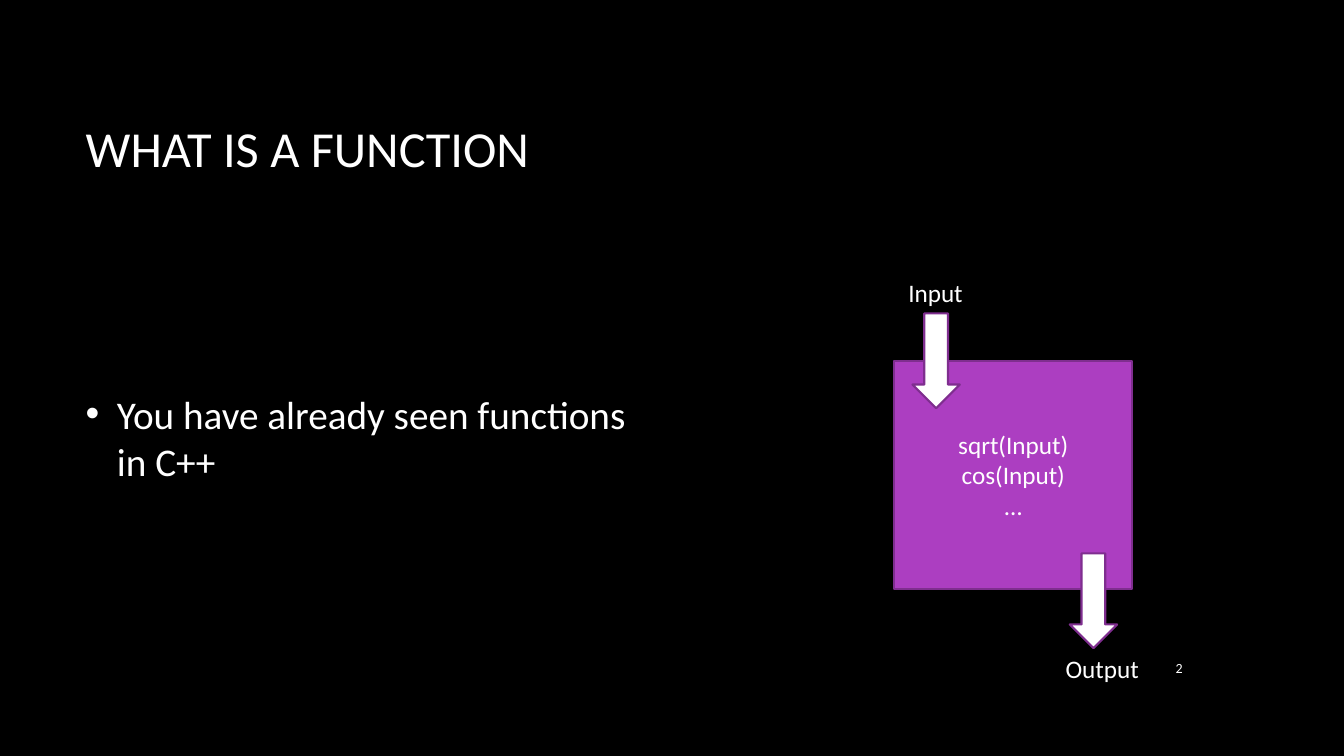
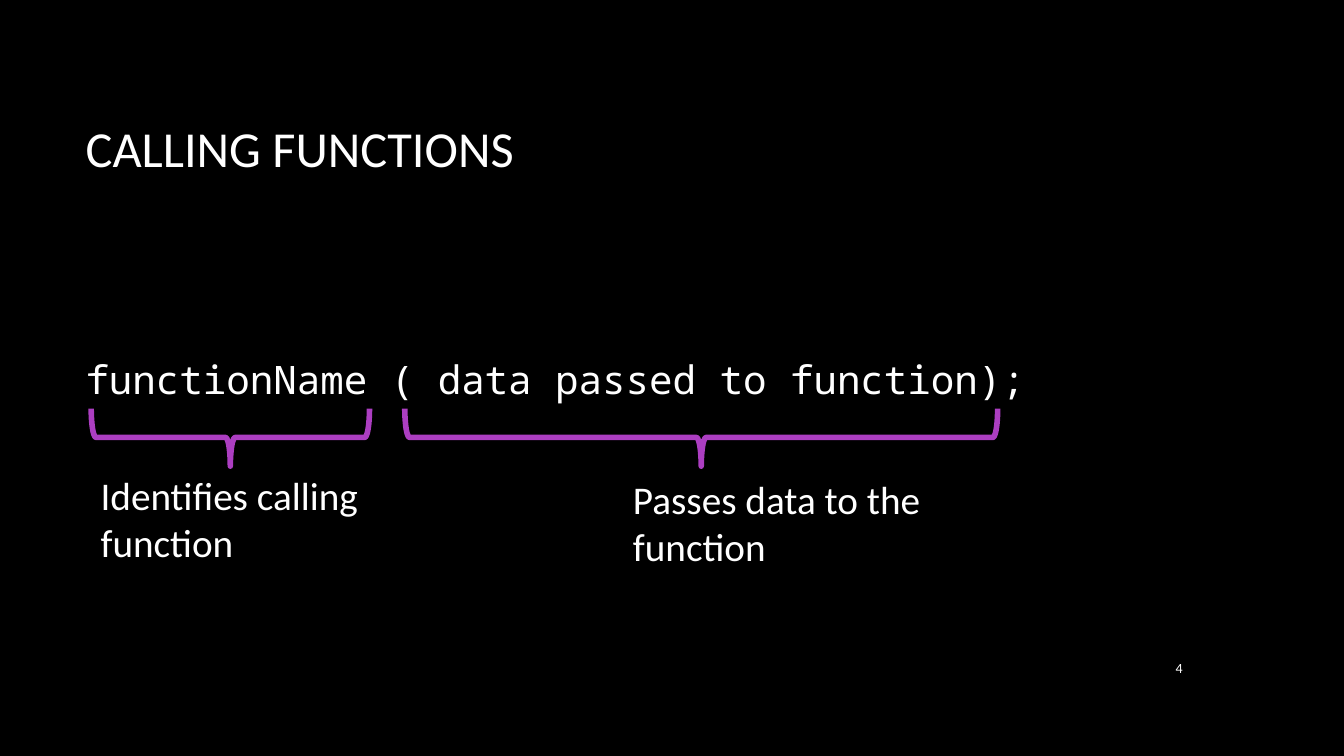
import pptx
import pptx.dml.color
import pptx.enum.shapes
import pptx.enum.text
import pptx.oxml
import pptx.oxml.ns
import pptx.util

Inches = pptx.util.Inches
Shape = pptx.enum.shapes.MSO_SHAPE
Align = pptx.enum.text.PP_ALIGN
Anchor = pptx.enum.text.MSO_ANCHOR
AutoSize = pptx.enum.text.MSO_AUTO_SIZE

COLORS = {"back": "000000", "text": "FFFFFF", "accent": "AC3EC1", "edge": "7F2E8F"}
BODY_FONT = "Calibri"
CODE_FONT = "Noto Sans Mono"
TITLE_AREA = (0.75, 0.67, 11.08, 1.59)
NUMBER_AREA = (11.23, 6.42, 0.6, 0.41)


def color(name):
    return pptx.dml.color.RGBColor.from_string(COLORS[name])


def set_values(target, values):
    for name, value in values.items():
        setattr(target, name, value)


def place(shape, area):
    names = ("left", "top", "width", "height")
    set_values(shape, dict(zip(names, map(Inches, area))))


def write(shape, lines, size, font=BODY_FONT, align=Align.LEFT, anchor=Anchor.TOP, wrap=True):
    frame = shape.text_frame
    set_values(frame, {"auto_size": AutoSize.NONE, "word_wrap": wrap, "vertical_anchor": anchor})
    for index, line in enumerate(lines):
        para = frame.paragraphs[0] if index == 0 else frame.add_paragraph()
        para.alignment = align
        span = para.add_run()
        span.text = line
        set_values(span.font, {"name": font, "size": pptx.util.Pt(size)})
        span.font.color.rgb = color("text")


def add_text(page, area, text, size, **layout):
    box = page.shapes.add_textbox(*map(Inches, area))
    write(box, [text], size, **layout)


def add_figure(page, kind, area, line, width, fill=None):
    figure = page.shapes.add_shape(kind, *map(Inches, area))
    figure.shadow.inherit = False
    if fill:
        figure.fill.solid()
        figure.fill.fore_color.rgb = color(fill)
    else:
        figure.fill.background()
    figure.line.color.rgb = color(line)
    figure.line.width = pptx.util.Pt(width)
    return figure


def add_arrow(page, left, top):
    add_figure(page, Shape.DOWN_ARROW, (left, top, 0.47, 0.94), "edge", 1.5, "text")


def add_brace(page, left, top, length):
    brace = add_figure(page, Shape.LEFT_BRACE, (left, top, 0.57, length), "accent", 4)
    brace.rotation = 270


def add_bullet(para, indent):
    properties = para._p.get_or_add_pPr()
    properties.set("marL", str(Inches(indent)))
    properties.set("indent", str(-Inches(indent)))
    namespace = pptx.oxml.ns.nsdecls("a")
    for xml in (
        f'<a:buClr {namespace}><a:srgbClr val="{COLORS["text"]}"/></a:buClr>',
        f'<a:buFont {namespace} typeface="Arial"/>',
        f'<a:buChar {namespace} char="•"/>',
    ):
        properties.append(pptx.oxml.parse_xml(xml))
    set_values(para, {"space_before": pptx.util.Pt(0), "space_after": pptx.util.Pt(10)})


def add_page(deck, layout_name, title, number):
    page = deck.slides.add_slide(deck.slide_layouts.get_by_name(layout_name))
    place(page.shapes.title, TITLE_AREA)
    write(page.shapes.title, [title], 36, anchor=Anchor.MIDDLE)
    add_text(page, NUMBER_AREA, number, 10, align=Align.RIGHT, anchor=Anchor.MIDDLE)
    return page


def add_definition_page(deck):
    page = add_page(deck, "Title and Content", "WHAT IS A FUNCTION", "2")
    body = page.placeholders[1]
    place(body, (0.75, 2.34, 5.62, 3.99))
    add_bullet(body.text_frame.paragraphs[0], 0.31)
    write(body, ["You have already seen functions in C++"], 28, anchor=Anchor.MIDDLE)
    process = add_figure(
        page, Shape.FLOWCHART_PROCESS, (8.87, 3.58, 2.36, 2.26), "edge", 1.5, "accent"
    )
    write(process, ["sqrt(Input)", "cos(Input)", "…"], 18, align=Align.CENTER, anchor=Anchor.MIDDLE)
    for left, top in ((9.05, 3.11), (10.61, 5.49)):
        add_arrow(page, left, top)
    add_text(page, (8.91, 2.7, 0.75, 0.4), "Input", 18, wrap=False)
    add_text(page, (10.47, 6.43, 0.94, 0.4), "Output", 18, wrap=False)


def add_call_page(deck):
    page = add_page(deck, "Title Only", "CALLING FUNCTIONS", "4")
    call = "functionName ( data passed to function);"
    add_text(page, (0.75, 3.48, 9.6, 0.57), call, 28, font=CODE_FONT, wrap=False)
    for left, top, length in ((2, 2.96, 2.76), (6.67, 1.4, 5.88)):
        add_brace(page, left, top, length)
    add_text(page, (0.9, 4.63, 3.33, 1.04), "Identifies calling function", 28)
    add_text(page, (6.18, 4.67, 3.33, 1.04), "Passes data to the function", 28)


def main():
    deck = pptx.Presentation()
    set_values(deck, {"slide_width": Inches(13.33), "slide_height": Inches(7.5)})
    backdrop = deck.slide_master.background.fill
    backdrop.solid()
    backdrop.fore_color.rgb = color("back")
    add_definition_page(deck)
    add_call_page(deck)
    deck.save("out.pptx")


if __name__ == "__main__":
    main()
